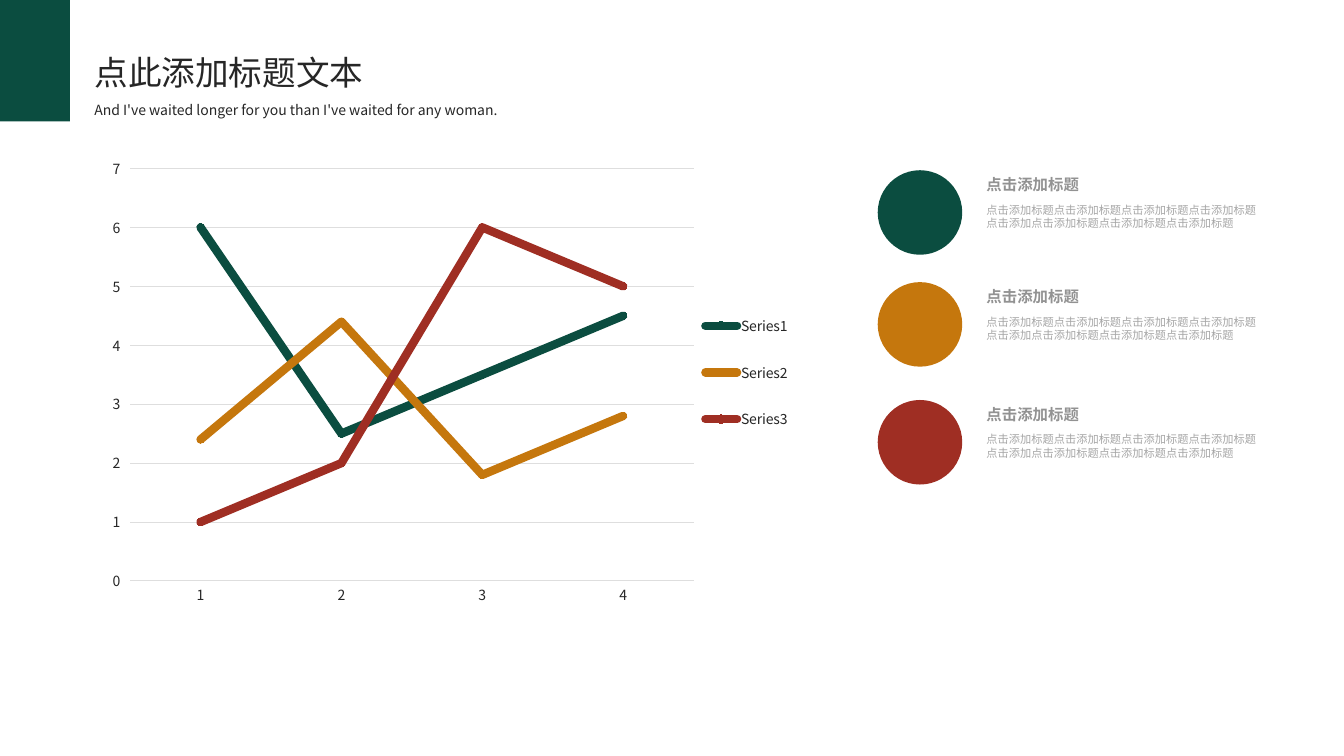
from lxml import etree
from pptx import Presentation
from pptx.chart.data import CategoryChartData
from pptx.dml.color import RGBColor
from pptx.enum.chart import XL_CHART_TYPE as ChartType, XL_LEGEND_POSITION as LegendPosition
from pptx.enum.chart import XL_MARKER_STYLE as MarkerStyle, XL_TICK_MARK as TickMark
from pptx.enum.shapes import MSO_SHAPE as Shape
from pptx.enum.text import MSO_ANCHOR as Anchor, MSO_AUTO_SIZE as AutoSize, PP_ALIGN as Align
from pptx.oxml.ns import qn
from pptx.util import Cm, Pt

FONT = "Noto Sans CJK SC"
GREEN = RGBColor(0x0B, 0x4D, 0x40)
OCHRE = RGBColor(0xC5, 0x77, 0x0D)
RED = RGBColor(0x9F, 0x2E, 0x23)
INK = RGBColor(0x26, 0x26, 0x26)
HEADING_GREY = RGBColor(0x92, 0x92, 0x92)
BLURB_GREY = RGBColor(0xA6, 0xA6, 0xA6)
GRID_GREY = RGBColor(0xDE, 0xDE, 0xDE)

HEADING = "点击添加标题"
BLURB = HEADING * 4 + "点击添加" + HEADING * 3
SERIES = [
    ("Series1", GREEN, (6, 2.5, 3.5, 4.5)),
    ("Series2", OCHRE, (2.4, 4.4, 1.8, 2.8)),
    ("Series3", RED, (1, 2, 6, 5)),
]
ITEMS = [(4.29, GREEN), (7.11, OCHRE), (10.08, RED)]


def style_font(font, size, color, bold=False):
    """Apply the common typeface with a size, colour and weight."""
    font.name, font.size, font.bold = FONT, Pt(size), bold
    font.color.rgb = color


def write(box, text, size, color, bold=False, align=None, spacing=None):
    """Fill a text holder with one formatted paragraph."""
    frame = box.text_frame
    frame.text = text
    frame.word_wrap = True
    frame.auto_size = AutoSize.NONE
    frame.vertical_anchor = Anchor.TOP
    paragraph = frame.paragraphs[0]
    paragraph.alignment, paragraph.line_spacing = align, spacing
    for run in paragraph.runs:
        style_font(run.font, size, color, bold)
        east_asian = etree.Element(qn("a:ea"), typeface=FONT)
        run.font._element.find(qn("a:latin")).addnext(east_asian)


def add_text(slide, left, top, width, height, *content, **style):
    """Add a text box measured in centimetres."""
    box = slide.shapes.add_textbox(Cm(left), Cm(top), Cm(width), Cm(height))
    write(box, *content, **style)


def add_block(slide, preset, left, top, width, height, color):
    """Add a flat filled shape without outline."""
    block = slide.shapes.add_shape(preset, Cm(left), Cm(top), Cm(width), Cm(height))
    block.shadow.inherit = False
    block.fill.solid()
    block.fill.fore_color.rgb = color
    block.line.fill.background()


def add_title(slide):
    """Place the title placeholder and the line below it."""
    title = slide.shapes.title
    title.left, title.top, title.width, title.height = Cm(2.13), Cm(0.99), Cm(8.26), Cm(1.37)
    write(title, "点此添加标题文本", 24, INK, align=Align.JUSTIFY, spacing=1.2)
    add_text(slide, 2.13, 2.26, 11.84, 0.81,
             "And I've waited longer for you than I've waited for any woman.",
             10, INK, align=Align.JUSTIFY, spacing=1.4)


def set_layout(part, following, x, y, width, height, inner=False):
    """Fix a chart part at fractions of the chart area."""
    for automatic in part.findall(qn("c:layout")):
        part.remove(automatic)
    layout = etree.Element(qn("c:layout"))
    manual = etree.SubElement(layout, qn("c:manualLayout"))
    settings = [("layoutTarget", "inner")] if inner else []
    settings += [("xMode", "edge"), ("yMode", "edge"),
                 ("x", x), ("y", y), ("w", width), ("h", height)]
    for tag, value in settings:
        etree.SubElement(manual, qn(f"c:{tag}"), val=str(value))
    part.find(qn(following)).addprevious(layout)


def style_series(series, color):
    """Draw a series as a thick round-ended line with small markers."""
    series.smooth = False
    series.format.line.color.rgb = color
    series.format.line.width = Pt(6)
    series.format.line._ln.set("cap", "rnd")
    series.marker.style, series.marker.size = MarkerStyle.CIRCLE, 5
    series.marker.format.fill.solid()
    series.marker.format.fill.fore_color.rgb = color
    series.marker.format.line.color.rgb = color


def style_axes(chart):
    """Format both axes and the horizontal gridlines."""
    categories, values = chart.category_axis, chart.value_axis
    for axis in (categories, values):
        style_font(axis.tick_labels.font, 10, INK)
        axis.minor_tick_mark = TickMark.NONE
    categories.major_tick_mark = TickMark.NONE
    values.major_tick_mark = TickMark.OUTSIDE
    values.minimum_scale, values.maximum_scale, values.major_unit = 0, 7, 1
    values.format.line.fill.background()
    for line in (categories.format.line, values.major_gridlines.format.line):
        line.color.rgb, line.width = GRID_GREY, Pt(0.75)


def add_line_chart(slide):
    """Add the three-series line chart with its legend."""
    data = CategoryChartData()
    data.categories = ["1", "2", "3", "4"]
    for name, _, values in SERIES:
        data.add_series(name, values)
    chart = slide.shapes.add_chart(ChartType.LINE_MARKERS, Cm(2.57), Cm(3.78),
                                   Cm(17.75), Cm(11.68), data).chart
    chart.has_title = False
    style_font(chart.font, 10, INK)
    style_axes(chart)
    plot = chart.plots[0]
    plot.vary_by_categories = False
    for series, (_, color, _) in zip(plot.series, SERIES):
        style_series(series, color)
    chart.has_legend = True
    legend = chart.legend
    legend.position, legend.include_in_layout = LegendPosition.RIGHT, False
    style_font(legend.font, 10, INK)
    plot_area = chart._chartSpace.chart.plotArea
    set_layout(plot_area, "c:lineChart", 0.04, 0.04, 0.8, 0.89, inner=True)
    set_layout(legend._element, "c:overlay", 0.84, 0.3, 0.15, 0.36)


def add_item(slide, top, color):
    """Add a coloured disc with its heading and blurb."""
    add_block(slide, Shape.OVAL, 22.12, top, 2.13, 2.13, color)
    add_text(slide, 24.61, top + 0.7, 7.34, 0.94, BLURB, 8, BLURB_GREY)
    add_text(slide, 24.61, top, 6.22, 0.74, HEADING, 11, HEADING_GREY, bold=True)


def main():
    """Build and save the slide."""
    deck = Presentation()
    deck.slide_width, deck.slide_height = Cm(33.87), Cm(19.05)
    slide = deck.slides.add_slide(deck.slide_layouts[5])
    add_line_chart(slide)
    for top, color in ITEMS:
        add_item(slide, top, color)
    add_title(slide)
    add_block(slide, Shape.RECTANGLE, 0, 0, 1.76, 3.06, GREEN)
    deck.save("out.pptx")


if __name__ == "__main__":
    main()
